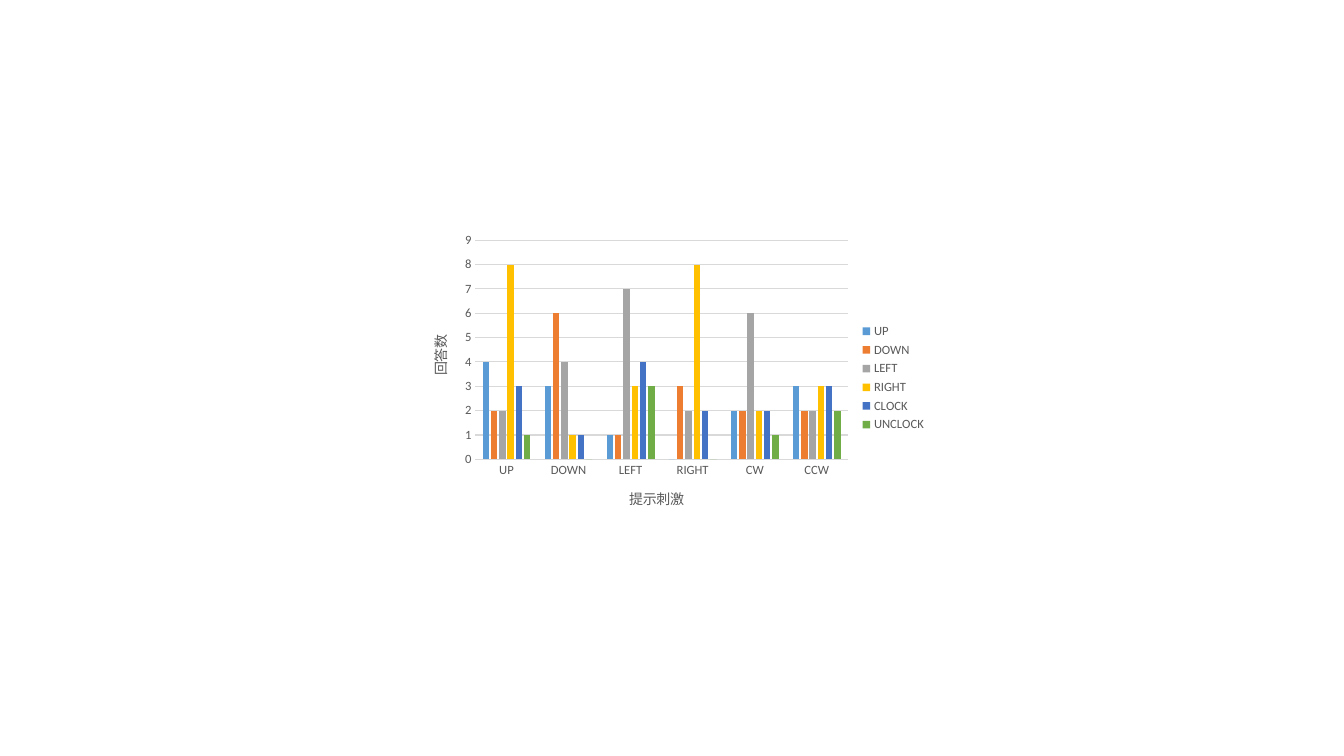
from pptx import Presentation
from pptx.chart.data import CategoryChartData
from pptx.dml.color import RGBColor
from pptx.enum.chart import XL_CHART_TYPE, XL_LEGEND_POSITION, XL_TICK_MARK
from pptx.util import Pt

COLUMN_CLUSTERED = XL_CHART_TYPE.COLUMN_CLUSTERED
LEGEND_RIGHT = XL_LEGEND_POSITION.RIGHT
NO_TICK = XL_TICK_MARK.NONE
TEXT_GRAY = "595959"
LINE_GRAY = "D9D9D9"


def color(hex_string):
    return RGBColor.from_string(hex_string)


def set_font(font, size):
    font.name = "Calibri"
    font.size = Pt(size)
    font.bold = False
    font.color.rgb = color(TEXT_GRAY)


presentation = Presentation()
presentation.slide_width = Pt(960)
presentation.slide_height = Pt(540)
slide = presentation.slides.add_slide(presentation.slide_layouts[6])

responses = [
    ("UP", (4, 3, 1, 0, 2, 3), "5B9BD5"),
    ("DOWN", (2, 6, 1, 3, 2, 2), "ED7D31"),
    ("LEFT", (2, 4, 7, 2, 6, 2), "A5A5A5"),
    ("RIGHT", (8, 1, 3, 8, 2, 3), "FFC000"),
    ("CLOCK", (3, 1, 4, 2, 2, 3), "4472C4"),
    ("UNCLOCK", (1, 0, 3, 0, 1, 2), "70AD47"),
]
chart_data = CategoryChartData()
chart_data.categories = ["UP", "DOWN", "LEFT", "RIGHT", "CW", "CCW"]
for name, counts, fill in responses:
    chart_data.add_series(name, counts)

chart = slide.shapes.add_chart(
    COLUMN_CLUSTERED, Pt(291.6), Pt(162), Pt(377.3), Pt(216), chart_data
).chart
chart.has_title = False
set_font(chart.font, 10)

plot = chart.plots[0]
plot.gap_width = 219
plot.overlap = -27
plot.vary_by_categories = False
for series, (name, counts, fill) in zip(plot.series, responses):
    series.format.fill.solid()
    series.format.fill.fore_color.rgb = color(fill)
    series.invert_if_negative = False

stimulus_axis = chart.category_axis
count_axis = chart.value_axis
for axis, title in ((stimulus_axis, "提示刺激"), (count_axis, "回答数")):
    axis.major_tick_mark = NO_TICK
    axis.minor_tick_mark = NO_TICK
    set_font(axis.tick_labels.font, 9)
    axis.has_title = True
    axis.axis_title.text_frame.text = title
    set_font(axis.axis_title.text_frame.paragraphs[0].font, 10)

count_axis.minimum_scale = 0
count_axis.maximum_scale = 9
count_axis.major_unit = 1
count_axis.has_major_gridlines = True
count_axis.format.line.fill.background()
for line in (stimulus_axis.format.line, count_axis.major_gridlines.format.line):
    line.color.rgb = color(LINE_GRAY)
    line.width = Pt(0.75)

chart.has_legend = True
chart.legend.position = LEGEND_RIGHT
chart.legend.include_in_layout = False
set_font(chart.legend.font, 9)

presentation.save("out.pptx")
